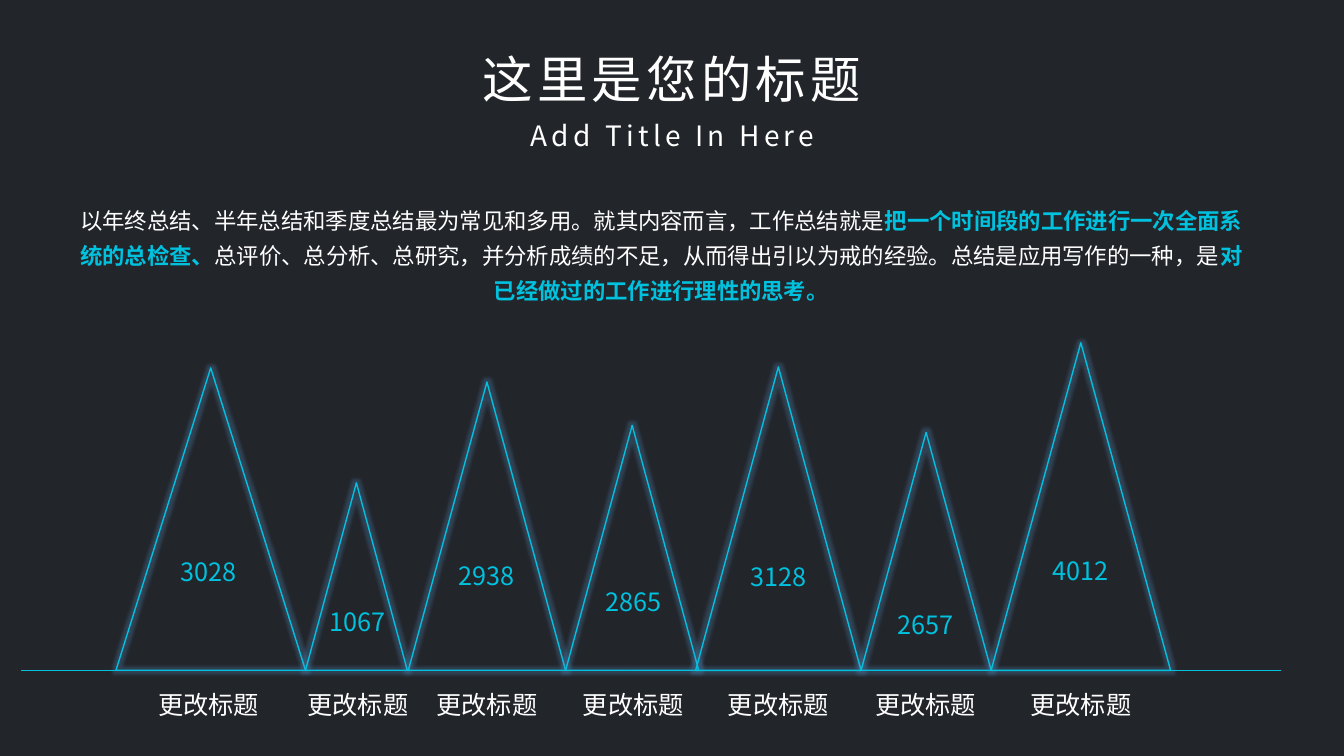
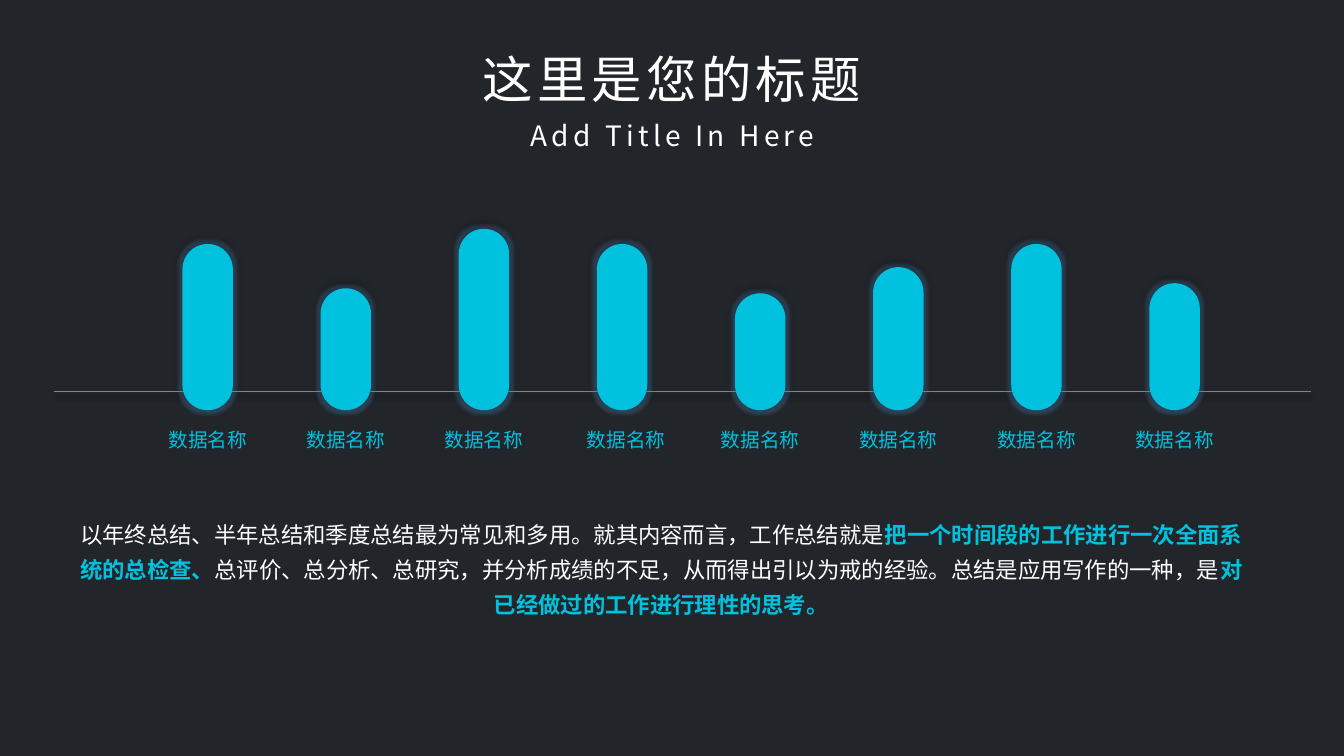
from dataclasses import dataclass
from lxml.etree import SubElement
from pptx import Presentation
from pptx.dml.color import RGBColor
from pptx.enum.shapes import MSO_CONNECTOR, MSO_SHAPE
from pptx.enum.text import MSO_ANCHOR, MSO_AUTO_SIZE, PP_ALIGN
from pptx.oxml.ns import qn
from pptx.util import Inches, Pt


@dataclass(frozen=True)
class Theme:
    font: str = "Noto Sans CJK SC"
    back: str = "22252A"
    white: str = "FFFFFF"
    cyan: str = "00C1DE"
    rule: str = "7F8588"
    glow: str = "5B9BD5"
    black: str = "000000"
    title: int = 36
    sub: int = 20
    large: int = 18
    body: int = 16
    small: int = 14


T = Theme()

TITLE = "这里是您的标题"
SUB = "Add Title In Here"
# Text and whether it is highlighted
BODY = [
    ("以年终总结、半年总结和季度总结最为常见和多用。就其内容而言，工作总结就是", False),
    ("把一个时间段的工作进行一次全面系统的总检查、", True),
    ("总评价、总分析、总研究，并分析成绩的不足，从而得出引以为戒的经验。总结是应用写作的一种，是", False),
    ("对已经做过的工作进行理性的思考。", True),
]

PEAK_NAME = "更改标题"
# Value, left, width, height, text centre, value top
PEAKS = [
    ("3028", 1.15, 1.88, 3.00, 2.07, 5.47),
    ("1067", 3.03, 1.01, 1.86, 3.55, 5.97),
    ("2938", 4.05, 1.56, 2.86, 4.83, 5.51),
    ("2865", 5.61, 1.32, 2.43, 6.28, 5.77),
    ("3128", 6.90, 1.64, 3.01, 7.72, 5.52),
    ("2657", 8.54, 1.29, 2.36, 9.18, 6.00),
    ("4012", 9.83, 1.78, 3.25, 10.72, 5.46),
]
PEAK_BASE = 6.65

BAR_NAME = "数据名称"
# Bar height, shift of its label
BARS = [(1.65, 0), (1.21, 0), (1.80, 0), (1.65, 0.04),
        (1.16, 0), (1.42, 0), (1.65, 0), (1.26, 0)]
BAR_LEFT, BAR_STEP, BAR_WIDE, BAR_BASE = 1.81, 1.37, 0.5, 4.07


def rgb(code):
    return RGBColor.from_string(code)


def tint(parent, code, alpha):
    color = SubElement(parent, qn("a:srgbClr"), val=code)
    SubElement(color, qn("a:alpha"), val=str(alpha * 1000))


def effects(shape, glow=0, angle=None):
    """Replace theme effects with an optional glow (points) and shadow (degrees)."""
    props = shape._element.spPr
    box = props.find(qn("a:effectLst"))
    if box is None:
        box = SubElement(props, qn("a:effectLst"))
    if glow:
        tint(SubElement(box, qn("a:glow"), rad=str(Pt(glow))), T.glow, 25)
    if angle is not None:
        cast = SubElement(box, qn("a:outerShdw"), blurRad=str(Pt(4)),
                          dist=str(Pt(3)), dir=str(angle * 60000),
                          algn="t", rotWithShape="0")
        tint(cast, T.black, 40)


def write(shape, runs, size, space=0, lines=None):
    """Fill a text shape with runs of (text, colour, bold)."""
    frame = shape.text_frame
    frame.word_wrap = True
    frame.auto_size = MSO_AUTO_SIZE.NONE
    frame.vertical_anchor = MSO_ANCHOR.TOP
    para = frame.paragraphs[0]
    para.alignment = PP_ALIGN.CENTER
    if lines:
        para.line_spacing = lines
    for text, color, bold in runs:
        run = para.add_run()
        run.text = text
        font = run.font
        font.size, font.bold, font.name = Pt(size), bold, T.font
        font.color.rgb = rgb(color)
        props = run._r.get_or_add_rPr()
        SubElement(props, qn("a:ea"), typeface=T.font)
        if space:
            props.set("spc", str(space * 100))


def label(slide, text, mid, top, wide, high, size, color, space=0):
    box = slide.shapes.add_textbox(Inches(mid - wide / 2), Inches(top),
                                   Inches(wide), Inches(high))
    write(box, [(text, color, False)], size, space)


def body(slide, top):
    box = slide.shapes.add_textbox(Inches(0.6), Inches(top),
                                   Inches(11.92), Inches(1.15))
    runs = [(text, T.cyan if key else T.white, key) for text, key in BODY]
    write(box, runs, T.body, lines=1.3)


def shape(slide, kind, left, base, wide, high):
    """Add a preset shape standing on the given base."""
    item = slide.shapes.add_shape(kind, Inches(left), Inches(base - high),
                                  Inches(wide), Inches(high))
    item.shadow.inherit = False
    return item


def axis(slide, start, end, level, color, width, angle=None):
    line = slide.shapes.add_connector(
        MSO_CONNECTOR.STRAIGHT, Inches(start), Inches(level),
        Inches(end), Inches(level))
    line.line.color.rgb = rgb(color)
    line.line.width = Pt(width)
    effects(line, angle=angle)


def page(deck):
    slide = deck.slides.add_slide(deck.slide_layouts[5])
    title = slide.shapes.title
    title.left, title.top = Inches(3.76), Inches(0.43)
    title.width, title.height = Inches(5.81), Inches(0.71)
    write(title, [(TITLE, T.white, False)], T.title, 3)
    label(slide, SUB, 6.67, 1.13, 3.7, 0.44, T.sub, T.white, 3)
    return slide


def peaks(deck):
    slide = page(deck)
    body(slide, 1.93)
    for value, left, wide, high, mid, top in PEAKS:
        peak = shape(slide, MSO_SHAPE.ISOSCELES_TRIANGLE, left, PEAK_BASE, wide, high)
        peak.fill.background()
        peak.line.color.rgb = rgb(T.cyan)
        peak.line.width = Pt(1)
        effects(peak, glow=5)
        label(slide, value, mid, top, 0.97, 0.4, T.large, T.cyan)
        label(slide, PEAK_NAME, mid, 6.79, 1.21, 0.4, T.large, T.white)
    axis(slide, 0.21, 12.71, PEAK_BASE, T.cyan, 1)


def bars(deck):
    slide = page(deck)
    axis(slide, 0.54, 13, 3.88, T.rule, 0.5, angle=90)
    for i, (high, shift) in enumerate(BARS):
        left = BAR_LEFT + i * BAR_STEP
        bar = shape(slide, MSO_SHAPE.ROUNDED_RECTANGLE, left, BAR_BASE, BAR_WIDE, high)
        bar.adjustments[0] = 0.5
        bar.fill.solid()
        bar.fill.fore_color.rgb = rgb(T.cyan)
        bar.line.fill.background()
        effects(bar, glow=5, angle=270)
        label(slide, BAR_NAME, left + BAR_WIDE / 2 + shift, 4.2, 1.24, 0.34,
              T.small, T.cyan)
    body(slide, 5.04)


def main():
    deck = Presentation()
    deck.slide_width, deck.slide_height = Inches(13.33), Inches(7.5)
    fill = deck.slide_master.background.fill
    fill.solid()
    fill.fore_color.rgb = rgb(T.back)
    peaks(deck)
    bars(deck)
    deck.save("out.pptx")


if __name__ == "__main__":
    main()
